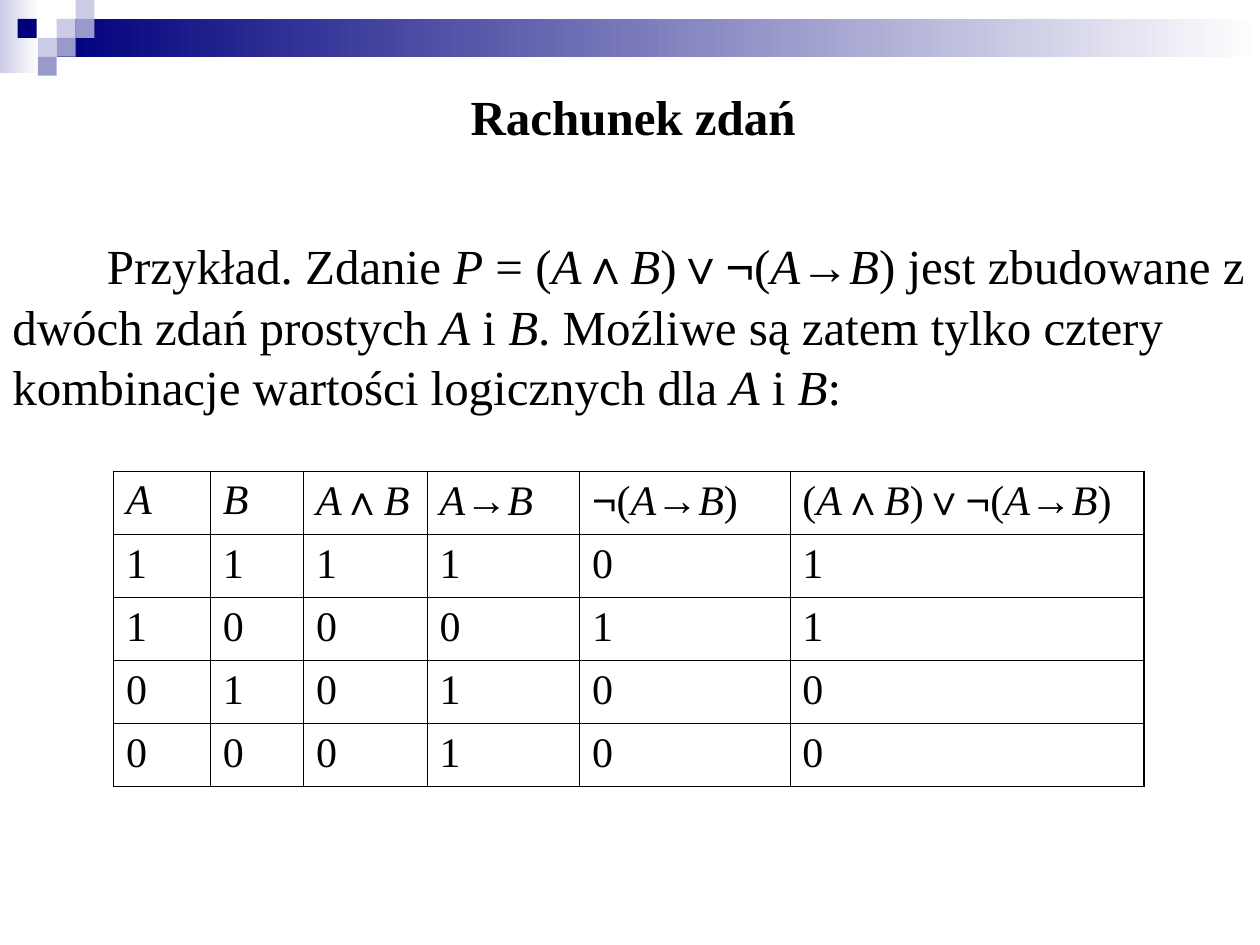
from dataclasses import dataclass
from itertools import groupby

from lxml import etree
from pptx import Presentation
from pptx import util as u
from pptx.dml.color import RGBColor
from pptx.enum import shapes, text
from pptx.oxml.ns import qn


@dataclass(frozen=True)
class Theme:
    navy: str = "00007D"
    violet: str = "9999CC"
    lavender: str = "CCCCE6"
    white: str = "FFFFFF"
    ink: str = "000000"
    font: str = "Times New Roman"
    symbol_font: str = "Arial"
    body_size: float = 28
    table_size: float = 24
    thin_line: float = 0.45
    thick_line: float = 1.08


@dataclass(frozen=True)
class Block:
    left: float
    top: float
    width: float
    height: float
    color: str
    fade_to: str = ""


THEME = Theme()
SQUARE = 0.15
SYMBOLS = "∧∨¬→"

BANDS = [
    Block(0, 0, 0.31, 0.58, THEME.lavender, THEME.white),
    Block(0.45, 0.15, 9.55, 0.3, THEME.navy, THEME.white),
]
SQUARES = [
    Block(left, top, SQUARE, SQUARE, color)
    for left, top, color in [
        (0.45, 0.15, THEME.lavender),
        (0.6, 0, THEME.lavender),
        (0.6, 0.15, THEME.violet),
        (0.3, 0.3, THEME.lavender),
        (0.14, 0.15, THEME.navy),
        (0.45, 0.3, THEME.violet),
        (0.3, 0.45, THEME.violet),
    ]
]

TITLE = "Rachunek zdań"
EXAMPLE = (
    "Przykład. Zdanie *P* = (*A*∧*B*)∨¬(*A*→*B*) jest zbudowane z dwóch zdań "
    "prostych *A* i *B*. Moźliwe są zatem tylko cztery kombinacje wartości "
    "logicznych dla *A* i *B*:"
)

COLUMN_WIDTHS = [0.77, 0.74, 0.98, 1.21, 1.67, 2.81]
ROW_HEIGHT = 0.5
TRUTH_TABLE = [
    ["*A*", "*B*", "*A*∧*B*", "*A*→*B*", "¬(*A*→*B*)", "(*A*∧*B*)∨¬(*A*→*B*)"],
    *(list(values) for values in ("111101", "100011", "010100", "000100")),
]


def add_block(slide, block: Block) -> None:
    shape = slide.shapes.add_shape(
        shapes.MSO_SHAPE.RECTANGLE,
        *map(u.Inches, (block.left, block.top, block.width, block.height)),
    )
    shape.shadow.inherit = False
    shape.line.fill.background()
    if block.fade_to:
        shape.fill.gradient()
        shape.fill.gradient_angle = 0
        for stop, color in zip(shape.fill.gradient_stops, (block.color, block.fade_to)):
            stop.color.rgb = RGBColor.from_string(color)
    else:
        shape.fill.solid()
        shape.fill.fore_color.rgb = RGBColor.from_string(block.color)


def write_formula(paragraph, markup: str, size: float, bold: bool = False) -> None:
    """Write text in which *stars* mark italics and logic symbols get their own font."""
    for index, part in enumerate(markup.split("*")):
        for is_symbol, characters in groupby(part, lambda c: c in SYMBOLS):
            run = paragraph.add_run()
            run.text = "".join(characters)
            run.font.color.rgb = RGBColor.from_string(THEME.ink)
            style = {
                "name": THEME.symbol_font if is_symbol else THEME.font,
                "size": u.Pt(size),
                "bold": bold,
                "italic": index % 2 == 1,
            }
            for name, value in style.items():
                setattr(run.font, name, value)


def add_body(slide) -> None:
    box = slide.shapes.add_textbox(*map(u.Inches, (0, 0.64, 10, 2.75)))
    frame = box.text_frame
    layout = {
        "word_wrap": True,
        "vertical_anchor": text.MSO_ANCHOR.TOP,
        "margin_left": u.Inches(0.1),
        "margin_right": u.Inches(0.05),
        "margin_top": u.Inches(0.05),
        "margin_bottom": u.Inches(0.05),
    }
    for name, value in layout.items():
        setattr(frame, name, value)

    title = frame.paragraphs[0]
    title.alignment = text.PP_ALIGN.CENTER
    write_formula(title, TITLE, THEME.body_size, bold=True)

    example = frame.add_paragraph()
    example.space_before = u.Pt(50.5)
    example.line_spacing = u.Pt(34.5)
    example._p.get_or_add_pPr().set("indent", str(u.Inches(0.75)))
    write_formula(example, EXAMPLE, THEME.body_size)


def set_border(cell, side: str, width: float) -> None:
    line = etree.SubElement(
        cell._tc.get_or_add_tcPr(), qn(f"a:ln{side}"), w=str(u.Pt(width))
    )
    fill = etree.SubElement(line, qn("a:solidFill"))
    etree.SubElement(fill, qn("a:srgbClr"), val=THEME.ink)


def add_truth_table(slide) -> None:
    row_count, column_count = len(TRUTH_TABLE), len(COLUMN_WIDTHS)
    table = slide.shapes.add_table(
        row_count,
        column_count,
        *map(u.Inches, (0.9, 3.74, sum(COLUMN_WIDTHS), ROW_HEIGHT * row_count)),
    ).table
    table.first_row = table.horz_banding = False
    for column, width in zip(table.columns, COLUMN_WIDTHS):
        column.width = u.Inches(width)
    for row_index, row in enumerate(TRUTH_TABLE):
        table.rows[row_index].height = u.Inches(ROW_HEIGHT)
        for column_index, markup in enumerate(row):
            cell = table.cell(row_index, column_index)
            write_formula(cell.text_frame.paragraphs[0], markup, THEME.table_size)
            is_thick = {
                "L": column_index == 0,
                "R": column_index == column_count - 1,
                "T": False,
                "B": row_index == row_count - 1,
            }
            for side, thick in is_thick.items():
                set_border(cell, side, THEME.thick_line if thick else THEME.thin_line)
            cell.fill.background()


def main() -> None:
    presentation = Presentation()
    presentation.slide_width = u.Inches(10)
    presentation.slide_height = u.Inches(7.5)
    slide = presentation.slides.add_slide(presentation.slide_layouts[6])
    slide.background.fill.solid()
    slide.background.fill.fore_color.rgb = RGBColor.from_string(THEME.white)
    for block in BANDS + SQUARES:
        add_block(slide, block)
    add_body(slide)
    add_truth_table(slide)
    presentation.save("out.pptx")


if __name__ == "__main__":
    main()
